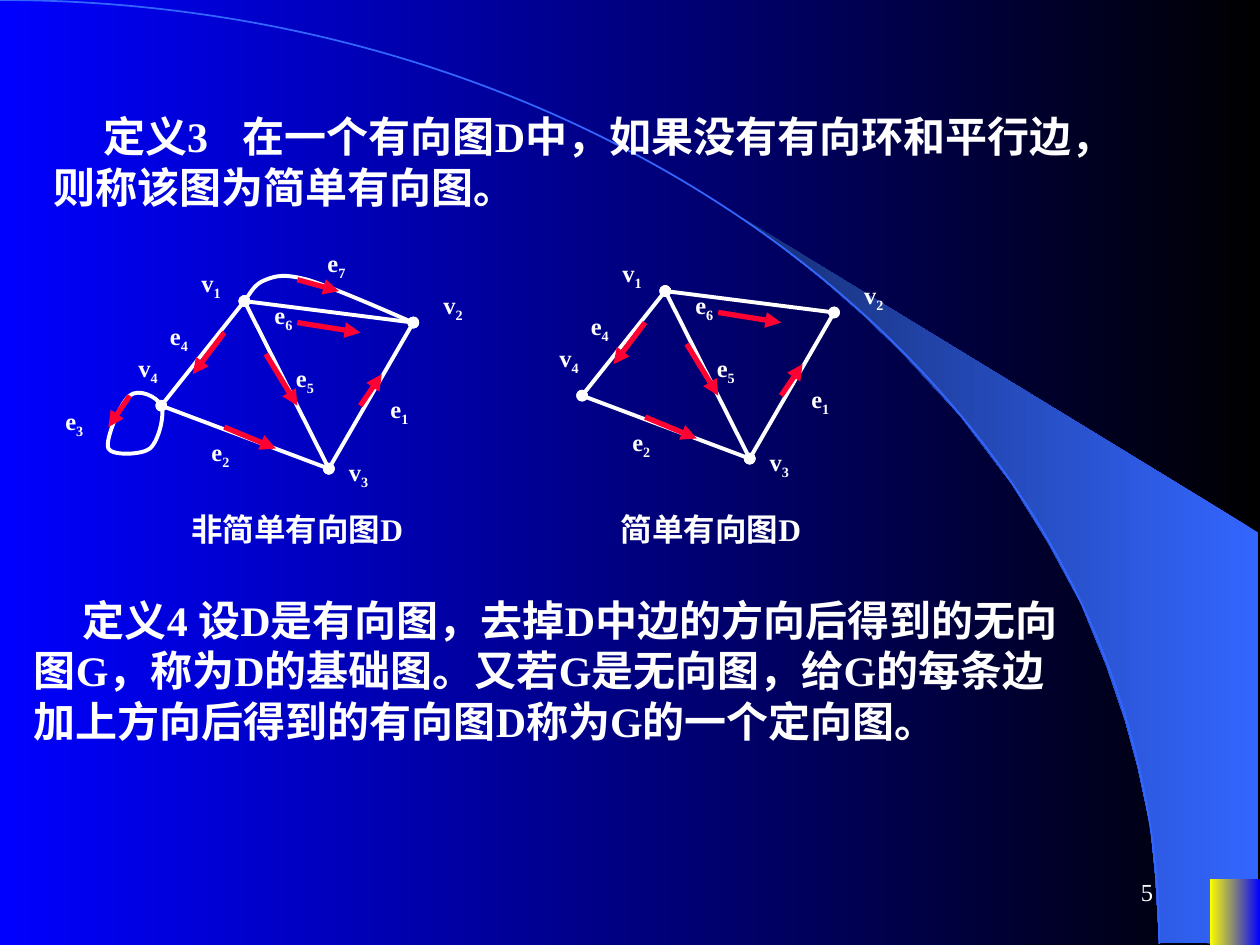
from lxml import etree
from pptx import Presentation
from pptx.dml.color import RGBColor
from pptx.enum import shapes, text
from pptx.oxml.ns import qn
from pptx.util import Inches, Pt

WHITE = RGBColor(0xFF, 0xFF, 0xFF)
BLACK = RGBColor(0, 0, 0)
BLUE = RGBColor(0, 0, 0xFF)
SKY = RGBColor(0x33, 0x66, 0xFF)
NAVY = RGBColor(0x17, 0x2F, 0x75)
YELLOW = RGBColor(0xFF, 0xFF, 0)
RED = RGBColor(0xFF, 0, 0x33)
FONT = "Times New Roman"

WEDGE = [(9.2, 7.48), (9.99, 7.49), (9.99, 4.23), (5.89, 1.73), (6.24, 1.99),
         (6.53, 2.22), (6.85, 2.5), (7.16, 2.8), (7.62, 3.3), (8.03, 3.84),
         (8.32, 4.31), (8.58, 4.79), (8.78, 5.28), (8.93, 5.72),
         (9.03, 6.09), (9.13, 6.56), (9.17, 6.96)]
ARC = [(0, 0), (5.08, 0), (9.2, 3.35), (9.2, 7.49)]

# Graph parts, in inches from the corner of the graph's box
NODES = {"v1": (1.11, 0.47), "v2": (2.45, 0.64),
         "v3": (1.78, 1.8), "v4": (0.45, 1.3)}
EDGES = [("v1", "v4"), ("v4", "v3"), ("v3", "v2"), ("v1", "v2"), ("v1", "v3")]
ARROWS = {"e1": ((2.03, 1.3), (2.2, 1.05)), "e2": ((0.95, 1.47), (1.36, 1.64)),
          "e3": ((0.2, 1.22), (0.03, 1.47)), "e4": ((0.95, 0.72), (0.7, 1.05)),
          "e5": ((1.28, 0.89), (1.53, 1.3)), "e6": ((1.53, 0.64), (2.03, 0.72)),
          "e7": ((1.53, 0.3), (1.86, 0.39))}
LABELS = {"v1": (0.67, 0.16), "v2": (2.59, 0.33), "v3": (1.84, 1.66),
          "v4": (0.17, 0.83), "e1": (2.17, 1.16), "e2": (0.75, 1.5),
          "e3": (-0.41, 1.25), "e4": (0.42, 0.58), "e5": (1.42, 0.91),
          "e6": (1.25, 0.41), "e7": (1.67, 0)}
BOW = [(1.11, 0.47), (1.16, 0.4), (1.2, 0.33), (1.28, 0.3), (1.36, 0.27),
       (1.42, 0.25), (1.61, 0.3), (1.81, 0.36), (2.31, 0.58), (2.45, 0.64)]
LOOP = [(0.45, 1.3), (0.42, 1.23), (0.27, 1.16), (0.2, 1.22), (0.13, 1.27),
        (0, 1.57), (0.03, 1.64), (0.06, 1.7), (0.3, 1.69), (0.36, 1.64),
        (0.43, 1.58), (0.48, 1.37), (0.45, 1.3)]
EXTRA = {"e3", "e7"}


def blend(fill, first, last):
    """Fill with a gradient that runs from right to left."""
    fill.gradient()
    fill.gradient_angle = 180
    for stop, color in zip(fill.gradient_stops, (first, last)):
        stop.color.rgb = color


def stroke(line, color, width, head=None, tail=None):
    line.color.rgb = color
    line.width = Pt(width)
    for tag, kind in (("a:headEnd", head), ("a:tailEnd", tail)):
        if kind:
            etree.SubElement(line._get_or_add_ln(), qn(tag), type=kind)


def outline(parts, points, left=0, top=0, close=False):
    spots = [(Inches(left + x), Inches(top + y)) for x, y in points]
    pen = parts.build_freeform(*spots[0])
    pen.add_line_segments(spots[1:], close=close)
    shape = pen.convert_to_shape()
    shape.shadow.inherit = False
    return shape


def curve(parts, points, left=0, top=0, close=False):
    """Draw Bezier curves: a start, then two handles and an end for each."""
    shape = outline(parts, points, left, top, close)
    shape.fill.background()
    steps = list(shape._element.iter(qn("a:lnTo")))
    for i in range(0, len(steps), 3):
        bend = etree.Element(qn("a:cubicBezTo"))
        steps[i].addprevious(bend)
        for step in steps[i:i + 3]:
            bend.append(step[0])
            step.getparent().remove(step)
    return shape


def link(parts, start, end, left, top, *style):
    ends = [Inches(v) for x, y in (start, end) for v in (left + x, top + y)]
    line = parts.add_connector(shapes.MSO_CONNECTOR.STRAIGHT, *ends)
    stroke(line.line, *style)
    etree.SubElement(line._element.spPr, qn("a:effectLst"))


def write(parts, words, left, top, width, height, size, bold=True):
    box = parts.add_textbox(*map(Inches, (left, top, width, height)))
    box.text_frame.word_wrap = True
    para = box.text_frame.paragraphs[0]
    para.add_run().text = words
    para.font.name = FONT
    para.font.size = Pt(size)
    para.font.bold = bold
    para.font.color.rgb = WHITE
    return box


def label(parts, name, left, top):
    box = write(parts, name[0], left, top, 0.52, 0.37, 14)
    sub = box.text_frame.paragraphs[0].add_run()
    sub.text = name[1]
    sub._r.get_or_add_rPr().set("baseline", "-25000")


def define(parts, words, left, top, height, tab=None):
    """Write a definition with an indented first line."""
    box = write(parts, words, left, top, 8.5, height, 24)
    props = box.text_frame.paragraphs[0]._p.get_or_add_pPr()
    props.set("marL", "0")
    props.set("indent", str(Inches(0.39)))
    if tab:
        tabs = etree.Element(qn("a:tabLst"))
        etree.SubElement(tabs, qn("a:tab"), pos=str(Inches(tab)), algn="l")
        props.insert(0, tabs)


def graph(slide, left, top, simple):
    parts = slide.shapes.add_group_shape().shapes
    for a, b in EDGES:
        link(parts, NODES[a], NODES[b], left, top, WHITE, 2.25, "oval", "oval")
    if not simple:
        bow = curve(parts, BOW, left, top)
        stroke(bow.line, WHITE, 2.25, "oval", "oval")
        loop = curve(parts, LOOP, left, top, True)
        stroke(loop.line, WHITE, 2.25)
    hidden = EXTRA if simple else set()
    for name, (start, end) in ARROWS.items():
        if name not in hidden:
            link(parts, start, end, left, top, RED, 3, None, "triangle")
    for name, (x, y) in LABELS.items():
        if name not in hidden:
            label(parts, name, left + x, top + y)


def backdrop(slide):
    blend(slide.background.fill, BLACK, BLUE)
    wedge = outline(slide.shapes, WEDGE, close=True)
    blend(wedge.fill, SKY, NAVY)
    wedge.line.fill.background()
    stroke(curve(slide.shapes, ARC).line, SKY, 1)
    block = slide.shapes.add_shape(shapes.MSO_SHAPE.RECTANGLE,
                                   *map(Inches, (9.6, 6.98, 0.4, 0.52)))
    block.shadow.inherit = False
    block.line.fill.background()
    blend(block.fill, BLUE, YELLOW)


def number(slide, words):
    box = write(slide.shapes, words, 7.17, 6.83, 2.08, 0.5, 14, False)
    box.text_frame.vertical_anchor = text.MSO_ANCHOR.MIDDLE
    box.text_frame.paragraphs[0].alignment = text.PP_ALIGN.RIGHT


def main():
    deck = Presentation()
    deck.slide_width, deck.slide_height = Inches(10), Inches(7.5)
    slide = deck.slides.add_slide(deck.slide_layouts[6])
    backdrop(slide)
    define(slide.shapes, "定义3\t在一个有向图D中，如果没有有向环和平行边，"
           "则称该图为简单有向图。", 0.33, 0.83, 0.9, 1.55)
    define(slide.shapes, "定义4 设D是有向图，去掉D中边的方向后得到的无向图G，"
           "称为D的基础图。又若G是无向图，给G的每条边加上方向后得到的"
           "有向图D称为G的一个定向图。", 0.17, 4.67, 1.3)
    graph(slide, 0.83, 1.92, False)
    graph(slide, 4.17, 1.84, True)
    for words, left in (("非简单有向图D", 1.42), ("简单有向图D", 4.83)):
        write(slide.shapes, words, left, 4, 2, 0.4, 18)
    number(slide, "5")
    deck.save("out.pptx")


if __name__ == "__main__":
    main()
